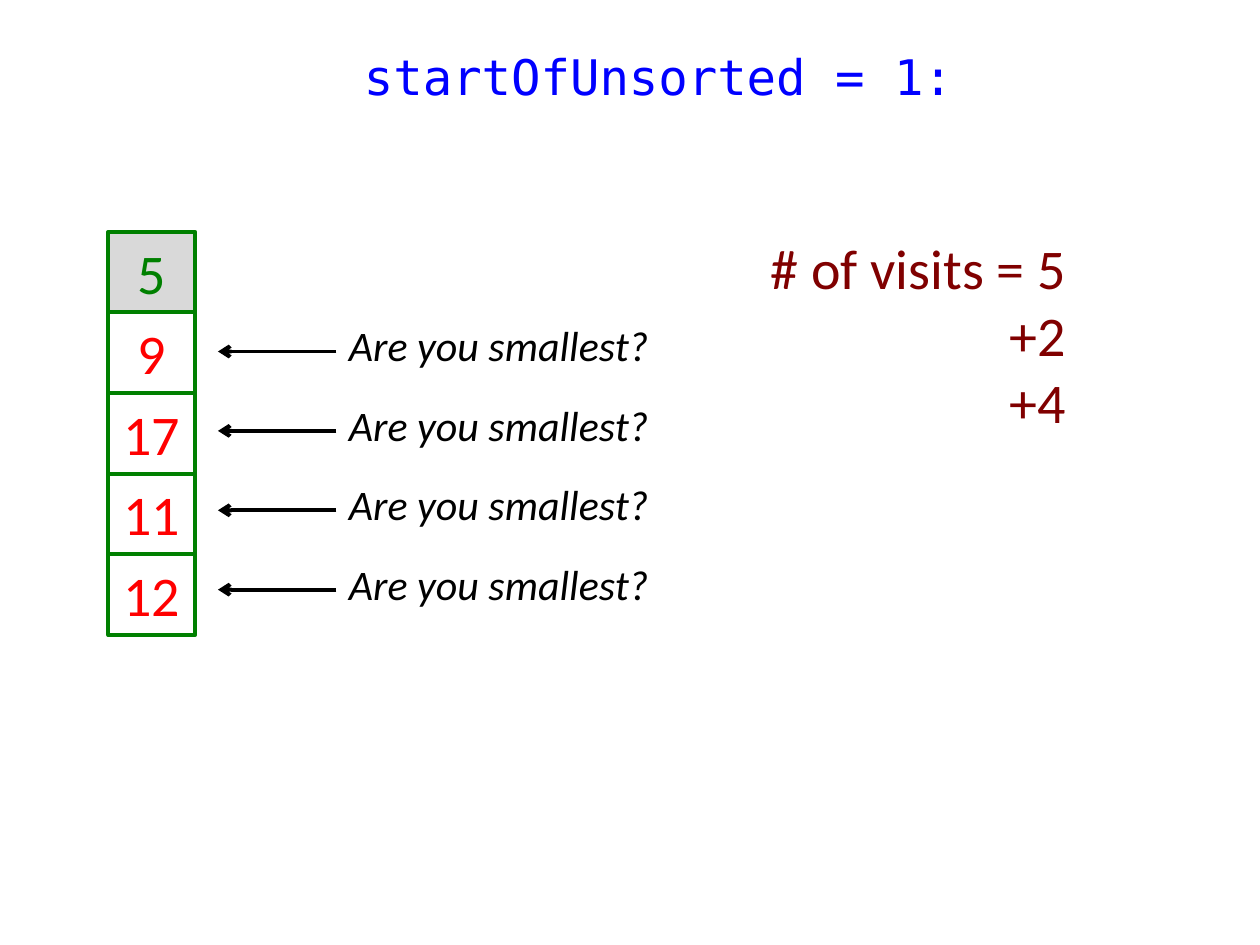
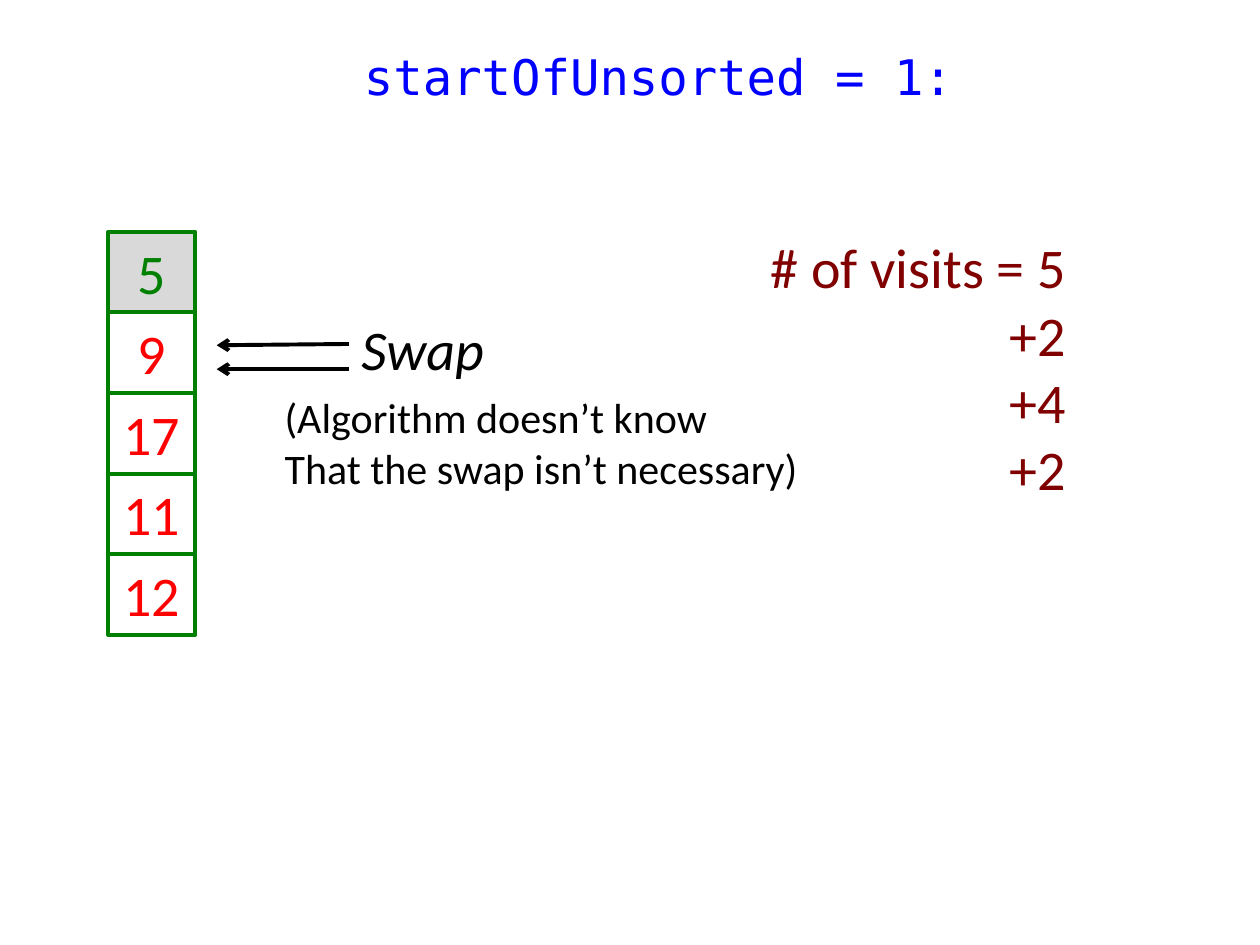
from lxml import etree
from pptx import Presentation
from pptx.dml.color import RGBColor
from pptx.enum.shapes import MSO_CONNECTOR, MSO_SHAPE
from pptx.enum.text import MSO_ANCHOR, PP_ALIGN
from pptx.oxml.ns import qn
from pptx.util import Inches, Pt

LEFT, CENTER, RIGHT = PP_ALIGN.LEFT, PP_ALIGN.CENTER, PP_ALIGN.RIGHT
RECTANGLE, STRAIGHT = MSO_SHAPE.RECTANGLE, MSO_CONNECTOR.STRAIGHT
TOP = MSO_ANCHOR.TOP

COLORS = {
    "title": "0000FF",
    "border": "008000",
    "sorted_fill": "D9D9D9",
    "sorted_text": "008000",
    "unsorted_text": "FF0000",
    "visits": "800000",
    "black": "000000",
}
BODY_FONT, CODE_FONT = "Calibri", "DejaVu Sans Mono"
LINE_WIDTH = Pt(2.25)

# The slide is a grid of 100 columns by 75 rows.
COLUMNS, ROWS = 100, 75
UNIT = Inches(0.1)

VALUES = [5, 9, 17, 11, 12]
SORTED_COUNT = 1
CELL_LEFT, CELL_TOP, CELL_WIDTH, CELL_HEIGHT = 8.6, 18.4, 6.9, 6.4
QUESTION_TOP, QUESTION_STEP = 24.9, 6.3
VISITS_LINE_HEIGHT = 5.4


def grid(*lengths):
    return [round(length * UNIT) for length in lengths]


def color(name):
    return RGBColor.from_string(COLORS[name])


def write(shape, lines, size, color_name, font=BODY_FONT, align=LEFT, italic=False):
    text_frame = shape.text_frame
    text_frame.text = "\n".join(lines)
    text_frame.vertical_anchor = TOP
    for paragraph in text_frame.paragraphs:
        paragraph.alignment = align
        for run in paragraph.runs:
            run.font.name = font
            run.font.size = Pt(size)
            run.font.italic = italic
            run.font.color.rgb = color(color_name)


def add_text(slide, box, lines, size, color_name, **style):
    shape = slide.shapes.add_textbox(*grid(*box))
    shape.text_frame.word_wrap = False
    write(shape, lines, size, color_name, **style)


def add_arrow(slide, start, end):
    connector = slide.shapes.add_connector(STRAIGHT, *grid(*start, *end))
    connector.line.color.rgb = color("black")
    connector.line.width = LINE_WIDTH
    outline = connector.line._get_or_add_ln()
    etree.SubElement(outline, qn("a:tailEnd"), type="arrow")
    etree.SubElement(connector._element.spPr, qn("a:effectLst"))


def add_array(slide):
    """Stack the values in cells, with the sorted part shaded."""
    for index, value in enumerate(VALUES):
        top = CELL_TOP + index * CELL_HEIGHT
        cell = slide.shapes.add_shape(
            RECTANGLE, *grid(CELL_LEFT, top, CELL_WIDTH, CELL_HEIGHT))
        cell.shadow.inherit = False
        cell.line.color.rgb = color("border")
        cell.line.width = LINE_WIDTH
        is_sorted = index < SORTED_COUNT
        if is_sorted:
            cell.fill.solid()
            cell.fill.fore_color.rgb = color("sorted_fill")
        else:
            cell.fill.background()
        text_color = "sorted_text" if is_sorted else "unsorted_text"
        write(cell, [str(value)], 32, text_color, align=CENTER)


def add_visits(slide, counts):
    first, *others = counts
    lines = [f"# of visits = {first}"] + [f"+{count}" for count in others]
    height = 1 + len(lines) * VISITS_LINE_HEIGHT
    add_text(slide, (59.9, 18, 25.7, height), lines, 32, "visits", align=RIGHT)


def add_step(presentation, visit_counts):
    """Add a slide with the parts that every step shows."""
    slide = presentation.slides.add_slide(presentation.slide_layouts[6])
    add_text(slide, (27.9, 3.2, 49.1, 5.7),
             [f"startOfUnsorted = {SORTED_COUNT}:"], 28, "title", font=CODE_FONT)
    add_array(slide)
    add_visits(slide, visit_counts)
    return slide


def add_questions(slide):
    for index in range(len(VALUES) - SORTED_COUNT):
        top = QUESTION_TOP + index * QUESTION_STEP
        add_text(slide, (26.7, top, 26.9, 5), ["Are you smallest?"],
                 24, "black", italic=True)
        add_arrow(slide, (26.7, top + 3), (17.3, top + 3))


def add_swap(slide):
    add_text(slide, (27.7, 24.5, 13, 6.4), ["Swap"], 32, "black", italic=True)
    add_arrow(slide, (27.7, 27.3), (17.2, 27.4))
    add_arrow(slide, (27.7, 29.3), (17.2, 29.3))
    add_text(slide, (21.6, 30.6, 43.2, 9.1),
             ["(Algorithm doesn’t know", "That the swap isn’t necessary)"],
             24, "black")


def main():
    presentation = Presentation()
    presentation.slide_width, presentation.slide_height = grid(COLUMNS, ROWS)
    add_questions(add_step(presentation, [5, 2, 4]))
    add_swap(add_step(presentation, [5, 2, 4, 2]))
    presentation.save("out.pptx")


if __name__ == "__main__":
    main()
